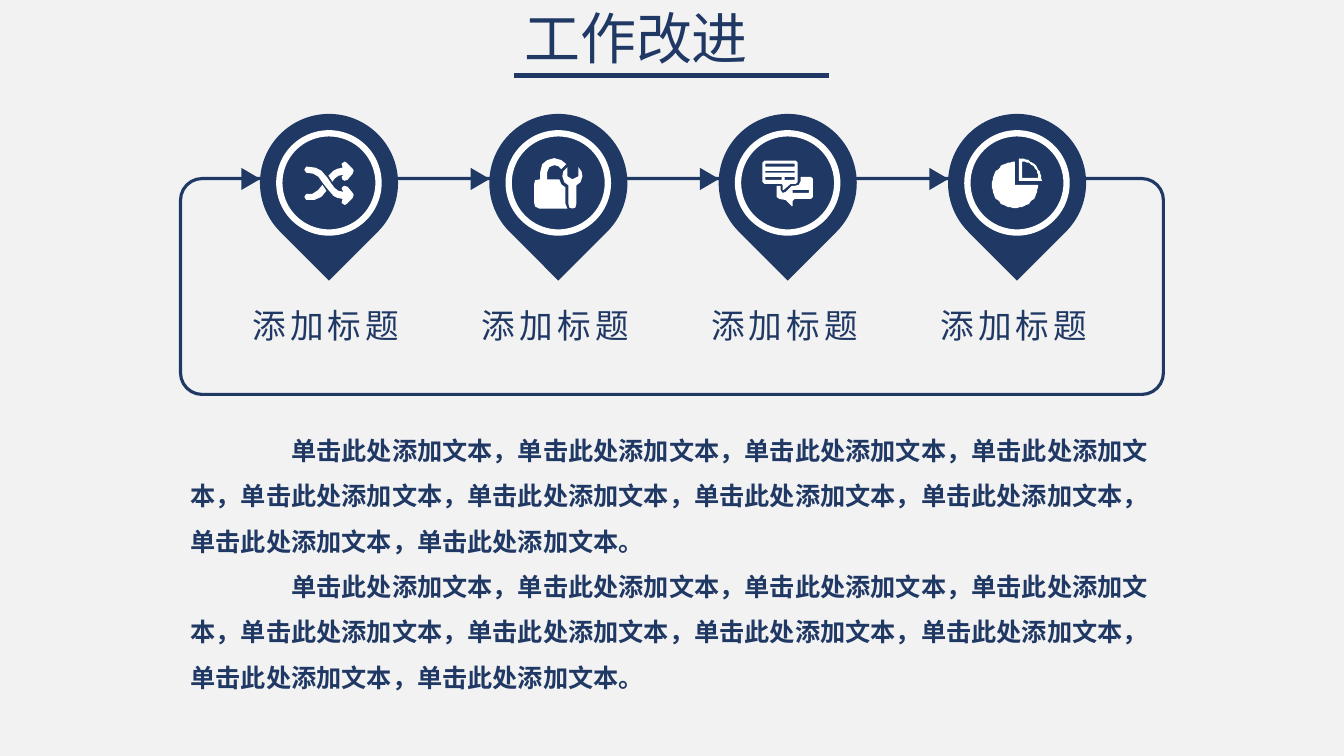
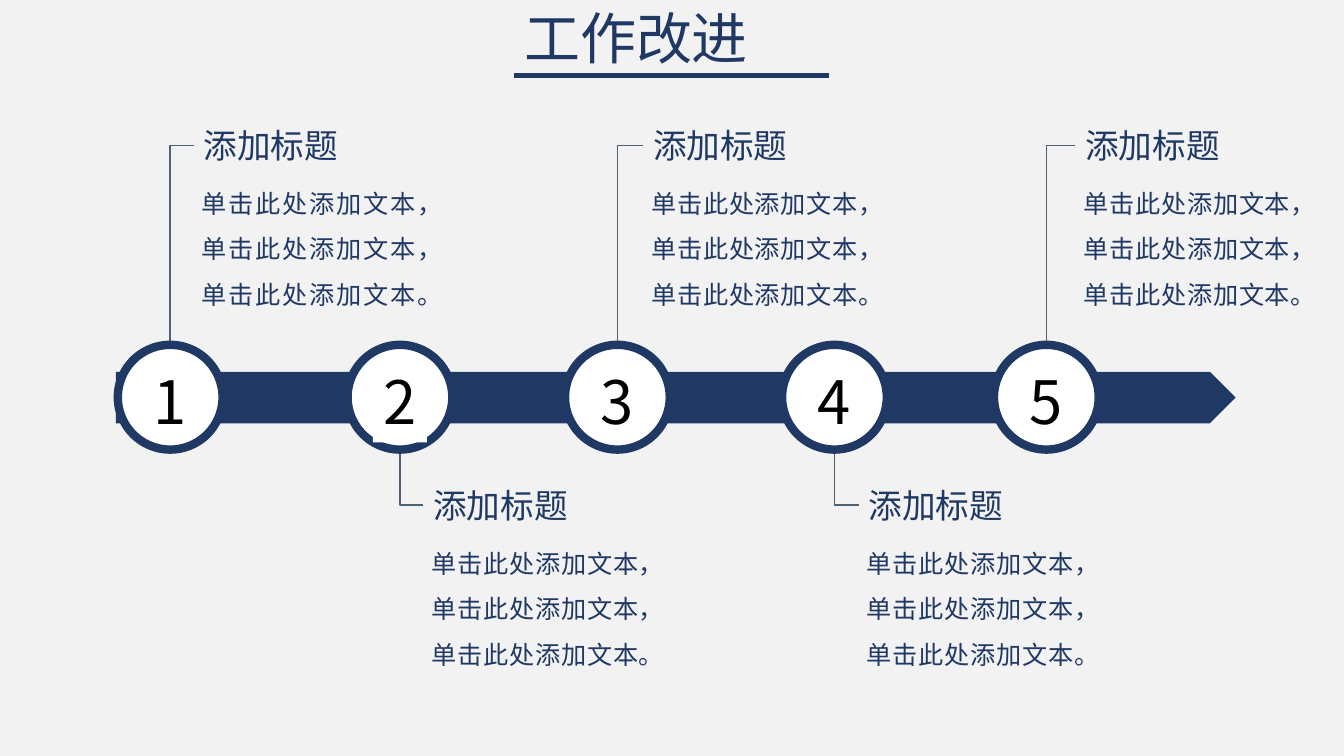
from dataclasses import dataclass
from math import cos, radians, sin
from typing import Optional

from lxml.etree import SubElement
from pptx import Presentation
from pptx.dml.color import RGBColor
from pptx.enum.shapes import MSO_CONNECTOR, MSO_SHAPE
from pptx.enum.text import MSO_ANCHOR, PP_ALIGN
from pptx.oxml.ns import qn
from pptx.shapes.autoshape import Shape
from pptx.shapes.connector import Connector
from pptx.slide import Slide
from pptx.util import Cm, Pt

NAVY = RGBColor(0x20, 0x38, 0x64)
SLATE = RGBColor(0x4D, 0x62, 0x77)
PALE = RGBColor(0xF2, 0xF2, 0xF2)
WHITE = RGBColor(0xFF, 0xFF, 0xFF)
BLACK = RGBColor(0x00, 0x00, 0x00)
FONT = "Noto Sans CJK SC"

HEADING = "工作改进"
CAPTION = "添加标题"
PHRASE = "单击此处添加文本"
STEP_BODY = "，".join([PHRASE] * 3) + "。"
LONG_BODY = "，".join([PHRASE] * 10) + "。"

Point = tuple[float, float]
Contour = list[Point]


@dataclass(frozen=True)
class TextStyle:
    size: float
    color: RGBColor = NAVY
    bold: bool = False
    spacing: int = 0
    align: PP_ALIGN = PP_ALIGN.LEFT
    line_spacing: float = 1.0
    first_indent: float = 0
    anchor: MSO_ANCHOR = MSO_ANCHOR.TOP
    wrap: bool = True


HEADING_STYLE = TextStyle(40, align=PP_ALIGN.JUSTIFY, line_spacing=0.9,
                          anchor=MSO_ANCHOR.MIDDLE)
PIN_LABEL = TextStyle(24, spacing=300, wrap=False)
PIN_BODY = TextStyle(18, bold=True, line_spacing=1.5, first_indent=2.54)
STEP_TITLE = TextStyle(24)
STEP_TEXT = TextStyle(18, align=PP_ALIGN.JUSTIFY, line_spacing=1.5)
STEP_NUMBER = TextStyle(42.7, BLACK, align=PP_ALIGN.CENTER, wrap=False)


@dataclass(frozen=True)
class Step:
    center: float
    title_left: float
    above: bool
    body_width: float = 5.74
    plate: bool = False


STEPS = [
    Step(4.29, 4.88, True, body_width=5.94),
    Step(10.08, 10.67, False, plate=True),
    Step(15.56, 16.21, True),
    Step(21.03, 21.64, False),
    Step(26.37, 27.1, True),
]


# Icon outlines, in hundredths of an inch
def sector(x: float, y: float, radius: float, start: int, end: int) -> Contour:
    rim = [(x + radius * cos(radians(a)), y + radius * sin(radians(a)))
           for a in range(start, end + 1, 6)]
    return [(x, y), *rim]


def box(left: float, top: float, right: float, bottom: float) -> Contour:
    return [(left, top), (right, top), (right, bottom), (left, bottom)]


SHUFFLE = [
    [(19, 23), (23, 29), (18, 35), (11, 38), (3, 38), (1, 35), (3, 32), (9, 32),
     (15, 28)],
    [(4, 5), (12, 6), (18, 9), (24, 16), (28, 22), (31, 26), (35, 29), (40, 30),
     (38, 27), (39, 25), (41, 24), (44, 25), (49, 31), (50, 33), (49, 36),
     (43, 42), (41, 43), (38, 41), (39, 37), (34, 36), (30, 34), (24, 27),
     (20, 22), (15, 15), (10, 12), (3, 11), (1, 8), (3, 5)],
    [(41, 0), (43, 1), (49, 7), (50, 9), (49, 12), (44, 18), (41, 19), (39, 18),
     (38, 15), (40, 13), (35, 14), (31, 17), (29, 20), (25, 14), (30, 9),
     (34, 7), (39, 6), (38, 2)],
]
LOCK_AND_WRENCH = [
    [(33, 9), (33, 18), (38, 21), (44, 18), (44, 9), (47, 13), (48, 18),
     (46, 24), (42, 27), (42, 45), (41, 49), (38, 50), (35, 49), (34, 45),
     (34, 27), (30, 24), (28, 18), (29, 13)],
    [(20, 0), (27, 2), (32, 6), (27, 11), (24, 8), (20, 7), (15, 9), (13, 14),
     (13, 21), (25, 21), (27, 26), (31, 29), (31, 45), (33, 50), (5, 50),
     (1, 48), (0, 44), (0, 26), (1, 22), (6, 21), (6, 14), (8, 6), (13, 2)],
]
CHAT = [
    [(2, 0), (33, 0), (35, 2), (35, 21), (33, 23), (28, 23), (21, 29), (20, 29),
     (20, 24), (19, 23), (2, 23), (0, 21), (0, 2)],
    [(38, 16), (48, 16), (50, 18), (50, 36), (48, 38), (32, 38), (30, 40),
     (30, 45), (29, 45), (23, 39), (17, 38), (14, 36), (14, 25), (18, 25),
     (18, 29), (20, 32), (23, 31), (29, 25), (32, 25), (36, 24), (38, 20)],
    box(3, 3, 32, 6), box(3, 10, 32, 12), box(3, 16, 19, 19),
    box(22, 16, 32, 19), box(30, 29, 46, 32),
]
PIE = [
    sector(23, 26, 23, 0, 270),
    sector(27, 22, 22.5, -90, 0),
    sector(30, 19, 16, -90, 0),
]
PIN_ICONS = [SHUFFLE, LOCK_AND_WRENCH, CHAT, PIE]


# Drawing helpers
def paint(shape: Shape, fill: Optional[RGBColor],
          line: Optional[RGBColor] = None, width: float = 0) -> Shape:
    shape.shadow.inherit = False
    if fill is None:
        shape.fill.background()
    else:
        shape.fill.solid()
        shape.fill.fore_color.rgb = fill
    if line is None:
        shape.line.fill.background()
    else:
        shape.line.color.rgb = line
        shape.line.width = Pt(width)
    return shape


def add_figure(slide: Slide, kind: MSO_SHAPE, left: float, top: float,
               width: float, height: float, fill: Optional[RGBColor],
               line: Optional[RGBColor] = None, line_width: float = 0) -> Shape:
    shape = slide.shapes.add_shape(kind, Cm(left), Cm(top), Cm(width), Cm(height))
    return paint(shape, fill, line, line_width)


def add_text(slide: Slide, text: str, left: float, top: float, width: float,
             height: float, style: TextStyle) -> Shape:
    text_box = slide.shapes.add_textbox(Cm(left), Cm(top), Cm(width), Cm(height))
    frame = text_box.text_frame
    frame.text = text
    frame.word_wrap = style.wrap
    frame.vertical_anchor = style.anchor
    for paragraph in frame.paragraphs:
        paragraph.alignment = style.align
        paragraph.line_spacing = style.line_spacing
        if style.first_indent:
            properties = paragraph._p.get_or_add_pPr()
            properties.set("marL", "0")
            properties.set("indent", str(Cm(style.first_indent)))
        for run in paragraph.runs:
            run.font.size = Pt(style.size)
            run.font.bold = style.bold
            run.font.color.rgb = style.color
            run.font.name = FONT
            run_properties = run._r.get_or_add_rPr()
            SubElement(run_properties, qn("a:ea")).set("typeface", FONT)
            if style.spacing:
                run_properties.set("spc", str(style.spacing))
    return text_box


def add_line(slide: Slide, kind: MSO_CONNECTOR, start: Point, end: Point,
             color: RGBColor, width: float) -> Connector:
    line = slide.shapes.add_connector(kind, *map(Cm, start + end))
    line.line.color.rgb = color
    line.line.width = Pt(width)
    SubElement(line._element.spPr, qn("a:effectLst"))
    return line


def add_icon(slide: Slide, contours: list[Contour], x: float, y: float) -> None:
    builder = slide.shapes.build_freeform(*contours[0][0], scale=Cm(2.54) / 100)
    for index, contour in enumerate(contours):
        if index:
            builder.move_to(*contour[0])
        builder.add_line_segments(contour[1:], close=True)
    icon = paint(builder.convert_to_shape(), WHITE)
    icon.left = Cm(x) - icon.width // 2
    icon.top = Cm(y) - icon.height // 2


def add_heading(slide: Slide) -> None:
    add_line(slide, MSO_CONNECTOR.STRAIGHT, (12.96, 1.9), (20.9, 1.9), NAVY, 3)
    add_text(slide, HEADING, 12.96, 0.18, 7.92, 1.73, HEADING_STYLE)


# Slide 1: loop of pins
def add_pin(slide: Slide, center: float, contours: list[Contour]) -> None:
    drop = add_figure(slide, MSO_SHAPE.TEAR, center - 1.74, 2.87, 3.48, 3.48, NAVY)
    drop.rotation = 135
    add_figure(slide, MSO_SHAPE.OVAL, center - 1.25, 3.36, 2.5, 2.5,
               NAVY, WHITE, 4.5)
    add_icon(slide, contours, center, 4.62)
    arrow = add_figure(slide, MSO_SHAPE.ISOSCELES_TRIANGLE, center - 2.25, 4.27,
                       0.56, 0.48, NAVY)
    arrow.rotation = 90
    add_text(slide, CAPTION, center - 2.18, 7.57, 4.37, 1.27, PIN_LABEL)


def build_pins(slide: Slide) -> None:
    add_heading(slide)
    loop = add_figure(slide, MSO_SHAPE.ROUNDED_RECTANGLE, 4.55, 4.5, 24.77, 5.44,
                      None, NAVY, 2.25)
    loop.adjustments[0] = 0.1
    for index, contours in enumerate(PIN_ICONS):
        add_pin(slide, 8.29 + 5.78 * index, contours)
    add_text(slide, "\n".join([LONG_BODY] * 2), 4.55, 10.46, 24.77, 7.06, PIN_BODY)


# Slide 2: numbered timeline
def add_step_text(slide: Slide, step: Step) -> None:
    title_top, ring_edge = (3.02, 8.69) if step.above else (12.09, 11.35)
    add_text(slide, CAPTION, step.title_left, title_top, 4.85, 1.27, STEP_TITLE)
    add_text(slide, STEP_BODY, step.title_left - 0.05, title_top + 1.22,
             step.body_width, 3.61, STEP_TEXT)
    elbow = add_line(slide, MSO_CONNECTOR.ELBOW,
                     (step.title_left, title_top + 0.64),
                     (step.center, ring_edge), SLATE, 1)
    elbow._element.spPr.find(qn("a:prstGeom")).set("prst", "bentConnector2")


def add_step_ring(slide: Slide, step: Step, number: int) -> None:
    add_figure(slide, MSO_SHAPE.OVAL, step.center - 1.32, 8.69, 2.64, 2.64,
               WHITE, NAVY, 6)
    digit = add_text(slide, str(number), step.center - 0.68, 9.07, 1.36, 2.08,
                     STEP_NUMBER)
    if step.plate:
        paint(digit, WHITE)


def build_timeline(slide: Slide) -> None:
    add_heading(slide)
    for step in STEPS:
        add_step_text(slide, step)
    add_figure(slide, MSO_SHAPE.PENTAGON, 2.92, 9.37, 28.22, 1.3, NAVY)
    for number, step in enumerate(STEPS, start=1):
        add_step_ring(slide, step, number)


def main() -> None:
    deck = Presentation()
    deck.slide_width, deck.slide_height = Cm(33.87), Cm(19.05)
    backdrop = deck.slide_master.background.fill
    backdrop.solid()
    backdrop.fore_color.rgb = PALE
    for build in (build_pins, build_timeline):
        build(deck.slides.add_slide(deck.slide_layouts[6]))
    deck.save("out.pptx")


if __name__ == "__main__":
    main()
